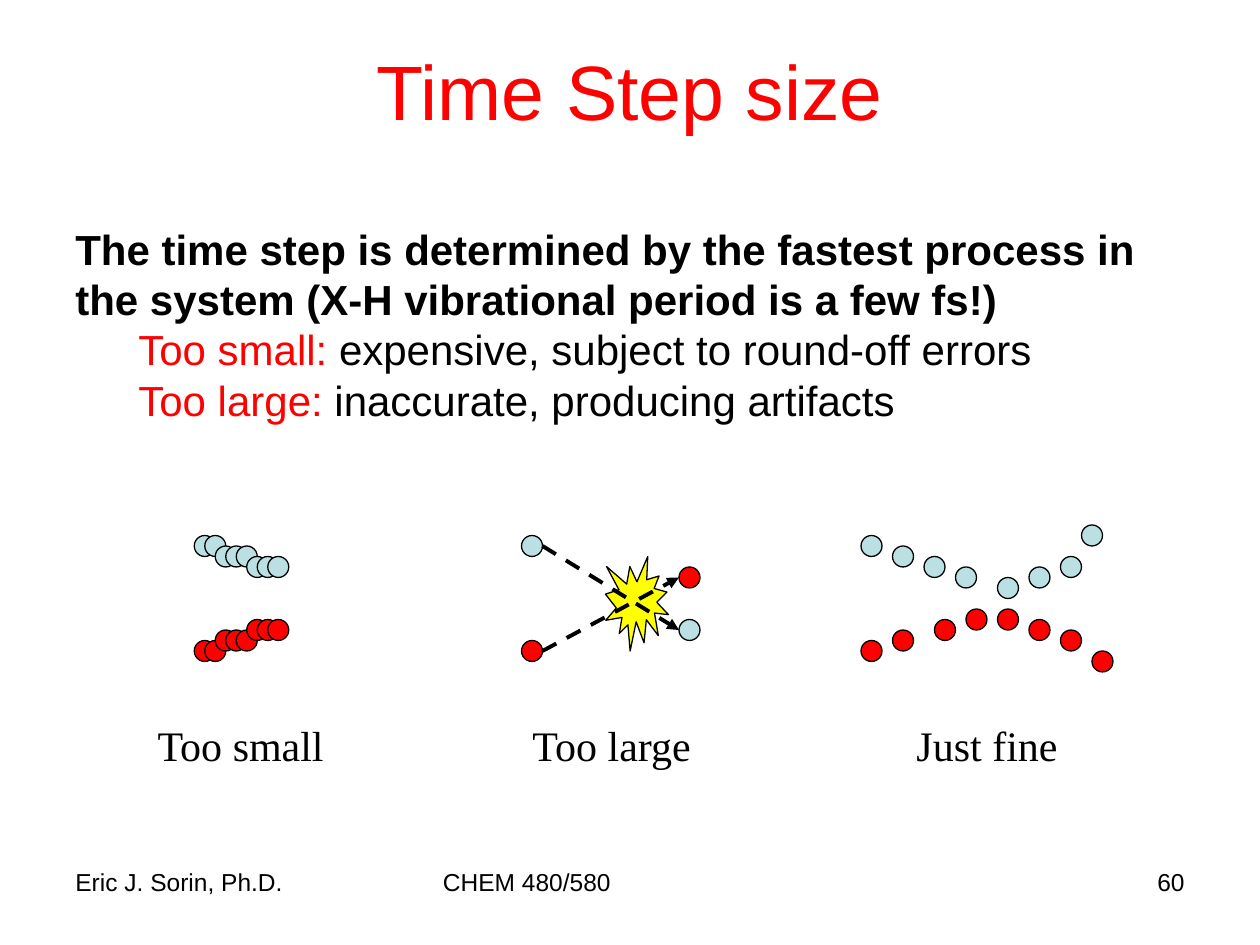
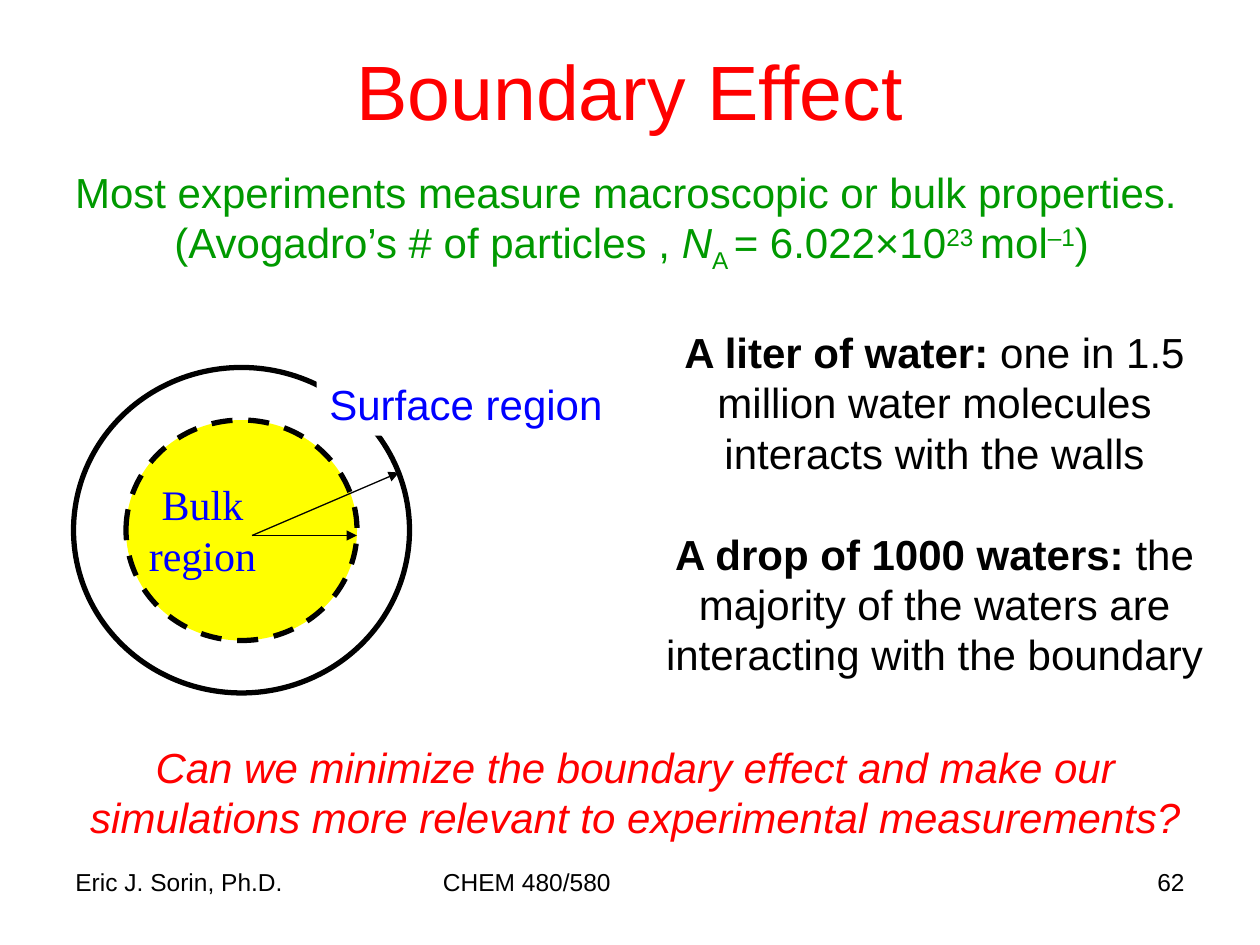
from lxml import etree
from pptx import Presentation
from pptx import util as u
from pptx.dml.color import RGBColor
from pptx.enum import dml, shapes, text
from pptx.oxml import ns

BLACK, RED, BLUE, GREEN = "000000", "FF0000", "0000FF", "009900"
YELLOW, PALE, WHITE = "FFFF00", "BBE0E3", "FFFFFF"
SANS, SERIF = "Arial", "Times New Roman"
LEFT, CENTER, RIGHT = text.PP_ALIGN.LEFT, text.PP_ALIGN.CENTER, text.PP_ALIGN.RIGHT
BODY = {"size": 24, "name": SANS, "color": BLACK}
LABEL = {**BODY, "name": SERIF}
TITLE = {"size": 44, "name": SANS, "color": RED}
FOOTER = {"size": 14, "name": SANS, "color": BLACK}
BOLD = {"bold": True}
DOT, STEP = 12, 6


def rgb(value):
    return RGBColor.from_string(value)


def format_run(r, fmt):
    for key, value in fmt.items():
        if key == "color":
            r.font.color.rgb = rgb(value)
        elif key == "baseline":
            r._r.get_or_add_rPr().set("baseline", str(value * 1000))
        else:
            setattr(r.font, key, u.Pt(value) if key == "size" else value)


def add_text(slide, box, paragraphs, fmt, align=CENTER, wrap=True,
             anchor=text.MSO_ANCHOR.TOP, indents=(), gap=0, fill=None):
    """Each paragraph is a list of (text, format changes) runs."""
    sp = slide.shapes.add_textbox(*map(u.Pt, box))
    if fill:
        sp.fill.solid()
        sp.fill.fore_color.rgb = rgb(fill)
    tf = sp.text_frame
    tf.word_wrap, tf.vertical_anchor = wrap, anchor
    for i, runs in enumerate(paragraphs):
        p = tf.add_paragraph() if i else tf.paragraphs[0]
        p.alignment = align
        if i and gap:
            p.space_before = u.Pt(gap)
        if i < len(indents):
            p._p.get_or_add_pPr().set("marL", str(u.Pt(indents[i])))
        for words, changes in runs:
            r = p.add_run()
            r.text = words
            format_run(r, {**fmt, **changes})


def set_line(line, width, dashed):
    line.color.rgb = rgb(BLACK)
    line.width = u.Pt(width)
    if dashed:
        line.dash_style = dml.MSO_LINE.DASH


def add_shape(slide, kind, box, fill, width=0.75, dashed=False):
    sp = slide.shapes.add_shape(kind, *map(u.Pt, box))
    sp.shadow.inherit = False
    if fill:
        sp.fill.solid()
        sp.fill.fore_color.rgb = rgb(fill)
    else:
        sp.fill.background()
    set_line(sp.line, width, dashed)


def add_arrow(slide, start, end, width=0.75, dashed=False):
    c = slide.shapes.add_connector(shapes.MSO_CONNECTOR.STRAIGHT,
                                   *map(u.Pt, (*start, *end)))
    set_line(c.line, width, dashed)
    spPr = c._element.spPr
    etree.SubElement(spPr.find(ns.qn("a:ln")), ns.qn("a:tailEnd"), type="triangle")
    etree.SubElement(spPr, ns.qn("a:effectLst"))


def add_frame(prs, title, number):
    """Start a slide with the shared title and footer."""
    slide = prs.slides.add_slide(prs.slide_layouts[6])
    for left, width, words, align in ((36, 168, "Eric J. Sorin, Ph.D.", LEFT),
                                      (246, 228, "CHEM 480/580", LEFT),
                                      (516, 168, str(number), RIGHT)):
        add_text(slide, (left, 492, width, 37.5), [[(words, {})]], FOOTER, align)
    add_text(slide, (54, 6, 612, 90), [[(title, {})]], TITLE,
             anchor=text.MSO_ANCHOR.MIDDLE)
    return slide


def add_trajectory(slide, left, top, color, points):
    """Place dots at grid points counted in steps from the corner."""
    for x, y in points:
        add_shape(slide, shapes.MSO_SHAPE.OVAL,
                  (left + x * STEP, top + y * STEP, DOT, DOT), color)


def add_collision(slide, left, top):
    def at(x, y):
        return left + x * STEP, top + y * STEP

    add_shape(slide, shapes.MSO_SHAPE.EXPLOSION1,
              (*at(8, 2), 6 * STEP, 9 * STEP), YELLOW)
    add_trajectory(slide, left, top, PALE, [(0, 0), (15, 8)])
    add_trajectory(slide, left, top, RED, [(0, 10), (15, 3)])
    for start, end in (((2, 1), (15, 9)), ((2, 11), (15, 4))):
        add_arrow(slide, at(*start), at(*end), 2.25, True)


def add_regions(slide, left, top):
    """Bulk disc inside a surface ring, with radius arrows and labels."""
    add_shape(slide, shapes.MSO_SHAPE.OVAL, (left, top, 192, 186), None, 3)
    add_shape(slide, shapes.MSO_SHAPE.OVAL,
              (left + 30, top + 30, 132, 126), YELLOW, 3, True)
    for x, y in ((162, 96), (186, 60)):
        add_arrow(slide, (left + 102, top + 96), (left + x, top + y))
    add_text(slide, (left + 36, top + 60, 75.5, 65),
             [[("Bulk", {})], [("region", {})]], {**LABEL, "color": BLUE}, wrap=False)
    add_text(slide, (left + 139, top + 3, 170.5, 36), [[("Surface region", {})]],
             {**BODY, "color": BLUE}, wrap=False, fill=WHITE)


def build_time_step(prs):
    slide = add_frame(prs, "Time Step size", 60)
    add_text(slide, (36, 124, 654, 124), [
        [("The time step is determined by the fastest process in the system "
          "(X-H vibrational period is a few fs!)", BOLD)],
        [("Too small: ", {"color": RED}),
         ("expensive, subject to round-off errors", {})],
        [("Too large: ", {"color": RED}), ("inaccurate, producing artifacts", {})],
    ], BODY, LEFT, indents=(0, 36, 36))

    top = 306
    small_drops = (0, 0, 1, 1, 1, 2, 2, 2)
    add_trajectory(slide, 111, top, PALE, enumerate(small_drops))
    add_trajectory(slide, 111, top, RED,
                   [(x, 10 - y) for x, y in enumerate(small_drops)])
    add_collision(slide, 298, top)
    add_trajectory(slide, 492, top, PALE,
                   zip((0, 3, 6, 9, 13, 16, 19, 21), (0, 1, 2, 3, 4, 3, 2, -1)))
    add_trajectory(slide, 492, top, RED,
                   zip((0, 3, 7, 10, 13, 16, 19, 22), (10, 9, 8, 7, 7, 8, 9, 11)))
    for left, width, words in ((82.5, 110, "Too small"), (296.5, 106, "Too large"),
                               (516, 96, "Just fine")):
        add_text(slide, (left, 407.5, width, 36), [[(words, {})]], LABEL, wrap=False)


def build_boundary(prs):
    slide = add_frame(prs, "Boundary Effect", 62)
    add_text(slide, (24.5, 91.5, 673, 65.5), [
        [("Most experiments measure macroscopic or bulk properties. ", {})],
        [("(Avogadro’s # of particles , ", {}), ("N", {"italic": True}),
         ("A ", {"baseline": -25}), ("= 6.022×10", {}), ("23 ", {"baseline": 30}),
         ("mol", {}), ("–1", {"baseline": 30}), (")", {})],
    ], {**BODY, "color": GREEN}, wrap=False)
    add_regions(slide, 42, 210)
    add_text(slide, (366, 183, 336, 211), [
        [("A liter of water:", BOLD),
         (" one in 1.5 million water molecules interacts with the walls", {})],
        [("A drop of 1000 waters:", BOLD),
         (" the majority of the waters are interacting with the boundary", {})],
    ], BODY, gap=28.8)
    add_text(slide, (30, 420, 666, 65.5),
             [[("Can we minimize the boundary effect and make our simulations "
                "more relevant to experimental measurements?", {})]],
             {**BODY, "color": RED, "italic": True})


def main():
    prs = Presentation()
    prs.slide_width, prs.slide_height = u.Pt(720), u.Pt(540)
    build_time_step(prs)
    build_boundary(prs)
    prs.save("out.pptx")


if __name__ == "__main__":
    main()
